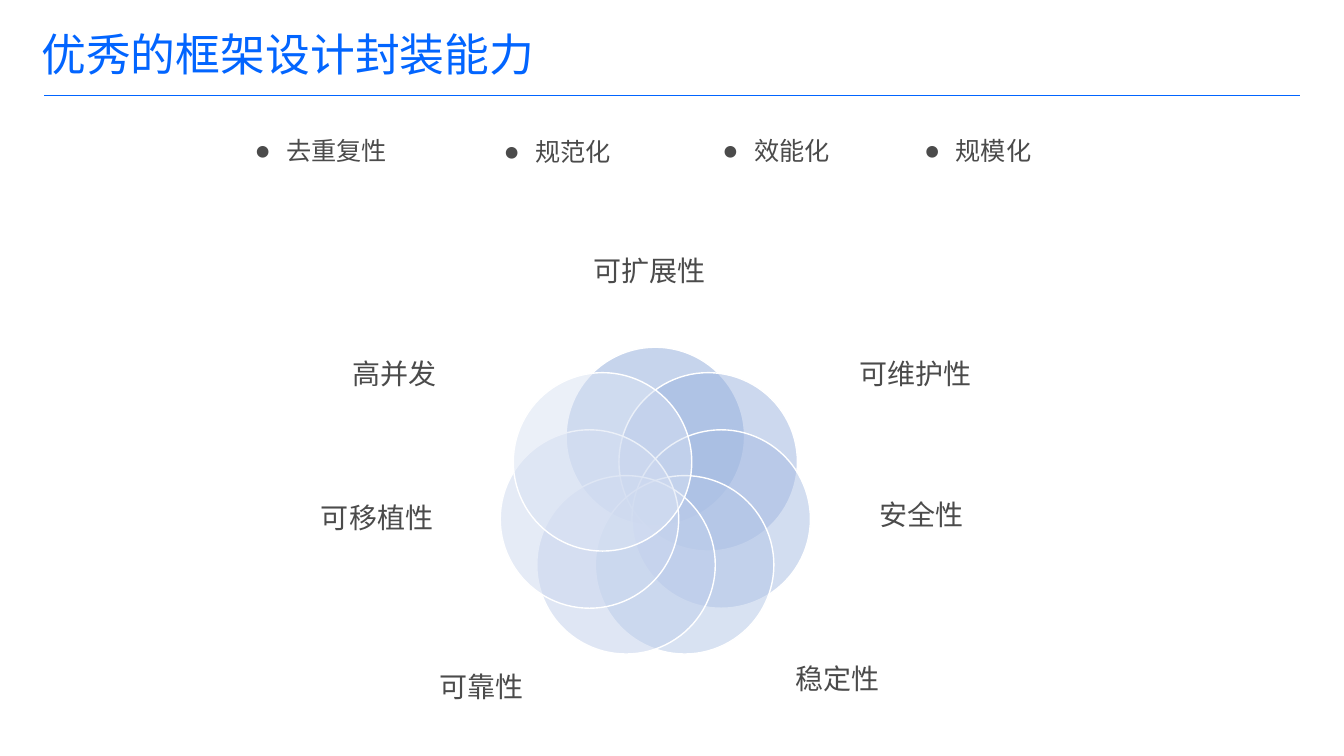
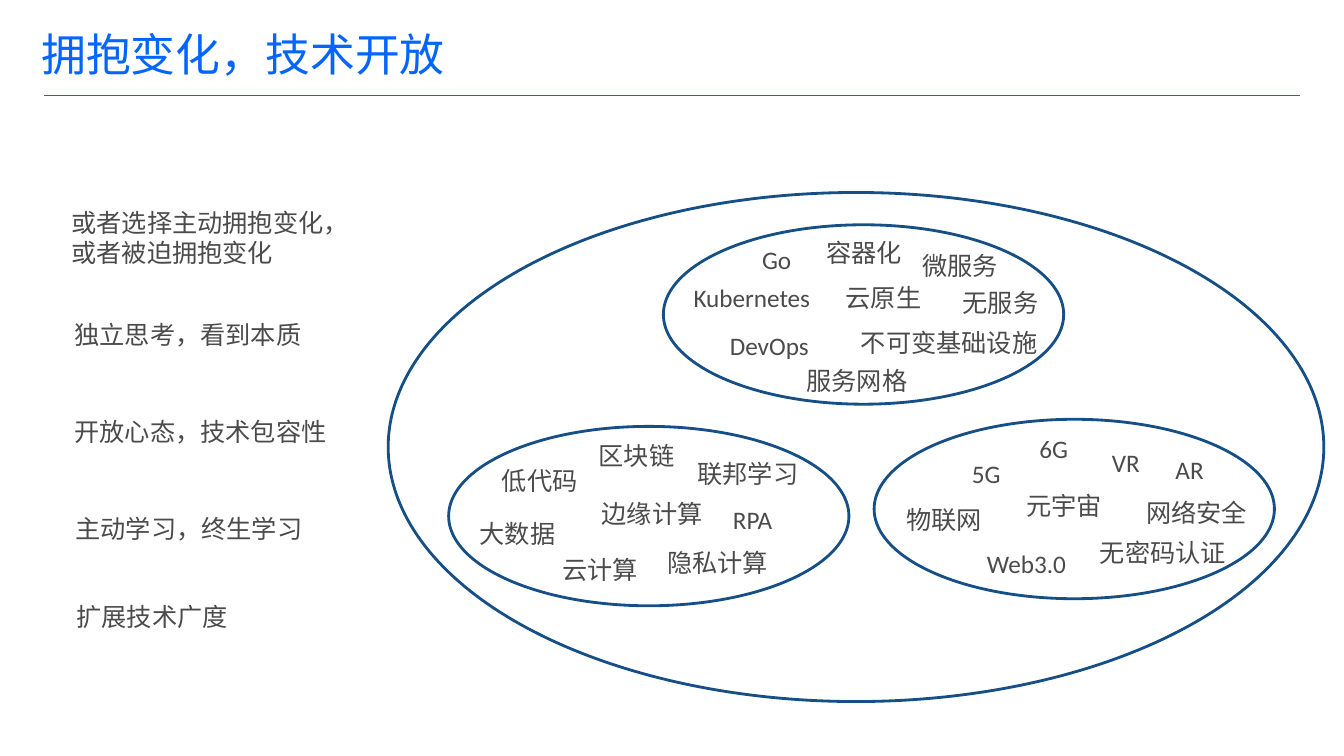
from math import cos, pi, sin

from lxml import etree
from pptx import Presentation
from pptx.dml.color import RGBColor
from pptx.enum.shapes import MSO_CONNECTOR, MSO_SHAPE
from pptx.enum.text import MSO_ANCHOR, MSO_AUTO_SIZE, PP_ALIGN
from pptx.oxml.ns import qn
from pptx.util import Inches, Pt

OVAL = MSO_SHAPE.OVAL
LINE = MSO_CONNECTOR.STRAIGHT
MIDDLE = MSO_ANCHOR.MIDDLE
TOP = MSO_ANCHOR.TOP
GROW = MSO_AUTO_SIZE.SHAPE_TO_FIT_TEXT
FIXED = MSO_AUTO_SIZE.NONE
LEFT = PP_ALIGN.LEFT
CENTER = PP_ALIGN.CENTER

BLUE = RGBColor(0x02, 0x65, 0xFF)
NAVY = RGBColor(0x16, 0x4F, 0x86)
GRAY = RGBColor(0x4B, 0x4B, 0x4B)
WHITE = RGBColor(0xFF, 0xFF, 0xFF)
DEEP = RGBColor(0x8E, 0xAA, 0xDB)
PALE = RGBColor(0xD9, 0xE2, 0xF3)
LATIN = "Calibri"
CJK = "Noto Sans CJK SC"


def pads(side, end):
    return {
        "margin_left": Inches(side),
        "margin_right": Inches(side),
        "margin_top": Inches(end),
        "margin_bottom": Inches(end),
    }


FIT = {"word_wrap": True, "auto_size": FIXED, "vertical_anchor": MIDDLE}
TITLE = {
    "frame": {**FIT, **pads(0.05, 0.05)},
    "para": {"alignment": LEFT, "line_spacing": 0.9},
    "font": {"name": LATIN, "size": Pt(32)},
    "color": BLUE,
}
LABEL = {
    "frame": {**FIT, **pads(0, 0)},
    "para": {"alignment": CENTER},
    "font": {"name": CJK, "size": Pt(20)},
    "color": GRAY,
}
POINT = {
    "frame": {**FIT, **pads(0.06, 0.06)},
    "para": {"alignment": LEFT},
    "font": {"name": LATIN, "size": Pt(18)},
    "color": GRAY,
    "bullet": "●",
}
WORD = {
    "frame": {"word_wrap": False, "auto_size": GROW,
              "vertical_anchor": TOP, **pads(0.1, 0.05)},
    "para": {"alignment": LEFT},
    "font": {"name": LATIN, "size": Pt(18)},
    "color": GRAY,
}

POINTS = [
    ("去重复性", 2.47, 1.26, 1.57),
    ("规范化", 4.94, 1.27, 1.41),
    ("效能化", 7.11, 1.26, 1.7),
    ("规模化", 9.11, 1.26, 2.6),
]
LABELS = [
    ("可扩展性", 5.43, 2.14, 2.03, 1.09),
    ("可维护性", 8.12, 3.1, 1.92, 1.2),
    ("安全性", 8.2, 4.46, 1.88, 1.28),
    ("稳定性", 7.29, 6.14, 2.03, 1.17),
    ("可靠性", 3.76, 6.22, 2.03, 1.17),
    ("可移植性", 2.8, 4.49, 1.88, 1.28),
    ("高并发", 2.95, 3.1, 1.92, 1.2),
]
IDEAS = [
    ("或者选择主动拥抱变化，\n或者被迫拥抱变化", 0.61, 2.01, 2.98, 0.71),
    ("独立思考，看到本质", 0.64, 3.12, 2.47, 0.4),
    ("开放心态，技术包容性", 0.64, 4.08, 2.73, 0.4),
    ("主动学习，终生学习", 0.65, 5.04, 2.54, 0.4),
    ("扩展技术广度", 0.66, 5.92, 1.72, 0.4),
]
FIELDS = [
    (6.58, 2.23, [
        ("Go", 7.46, 2.37, 0.54),
        ("容器化", 8.1, 2.31, 0.96),
        ("微服务", 9.05, 2.43, 0.96),
        ("Kubernetes", 6.78, 2.75, 1.49),
        ("云原生", 8.29, 2.75, 0.96),
        ("无服务", 9.45, 2.8, 0.96),
        ("DevOps", 7.14, 3.23, 1.11),
        ("不可变基础设施", 8.44, 3.2, 1.97),
        ("服务网格", 7.9, 3.58, 1.21),
    ]),
    (4.45, 4.23, [
        ("区块链", 5.84, 4.32, 0.96),
        ("低代码", 4.88, 4.57, 0.96),
        ("联邦学习", 6.82, 4.5, 1.21),
        ("边缘计算", 5.87, 4.89, 1.21),
        ("RPA", 7.17, 4.95, 0.72),
        ("大数据", 4.66, 5.09, 0.96),
        ("云计算", 5.48, 5.45, 0.96),
        ("隐私计算", 6.52, 5.38, 1.21),
    ]),
    (8.67, 4.16, [
        ("6G", 10.21, 4.25, 0.54),
        ("5G", 9.54, 4.5, 0.54),
        ("VR", 10.93, 4.39, 0.55),
        ("AR", 11.56, 4.46, 0.55),
        ("物联网", 8.89, 4.95, 0.96),
        ("元宇宙", 10.08, 4.82, 0.96),
        ("网络安全", 11.27, 4.88, 1.21),
        ("Web3.0", 9.69, 5.39, 1.07),
        ("无密码认证", 10.81, 5.28, 1.47),
    ]),
]


def apply(item, values):
    for key, value in values.items():
        setattr(item, key, value)


def add_dot(para, mark):
    props = para._p.get_or_add_pPr()
    props.set("marL", str(Inches(0.31)))
    props.set("indent", str(Inches(-0.31)))
    etree.SubElement(props, qn("a:buFont"), typeface=LATIN)
    etree.SubElement(props, qn("a:buChar"), char=mark)


def add_text(slide, text, x, y, w, h, style):
    box = slide.shapes.add_textbox(Inches(x), Inches(y), Inches(w), Inches(h))
    frame = box.text_frame
    apply(frame, style["frame"])
    for i, line in enumerate(text.split("\n")):
        para = frame.add_paragraph() if i else frame.paragraphs[0]
        apply(para, style["para"])
        if "bullet" in style:
            add_dot(para, style["bullet"])
        run = para.add_run()
        run.text = line
        apply(run.font, style["font"])
        run.font.color.rgb = style["color"]
        etree.SubElement(run._r.get_or_add_rPr(), qn("a:ea"), typeface=CJK)


def add_oval(slide, x, y, w, h, edge, width, fill=None):
    oval = slide.shapes.add_shape(OVAL, Inches(x), Inches(y), Inches(w), Inches(h))
    oval.shadow.inherit = False
    oval.line.color.rgb = edge
    oval.line.width = Pt(width)
    if fill is None:
        oval.fill.background()
    else:
        oval.fill.solid()
        oval.fill.fore_color.rgb = fill
        tint = oval._element.spPr.find(qn("a:solidFill"))[0]
        etree.SubElement(tint, qn("a:alpha"), val="50000")


def add_page(deck, title):
    slide = deck.slides.add_slide(deck.slide_layouts[6])
    rule = slide.shapes.add_connector(
        LINE, Inches(0.44), Inches(0.95), Inches(12.89), Inches(0.95))
    rule.line.color.rgb = BLUE
    rule.line.width = Pt(1)
    node = rule._element
    etree.SubElement(node.spPr, qn("a:effectLst"))
    node.remove(node.find(qn("p:style")))
    add_text(slide, title, 0.36, 0.17, 9.86, 0.79, TITLE)
    return slide


def add_bloom(slide, count, mid_x, mid_y, reach, size):
    for i in range(count):
        angle = 2 * pi * i / count
        x = mid_x + reach * sin(angle) - size / 2
        y = mid_y - reach * cos(angle) - size / 2
        tone = RGBColor(*(a + (b - a) * i // (count - 1)
                          for a, b in zip(DEEP, PALE)))
        add_oval(slide, x, y, size, size, WHITE, 1, tone)


def draw_frame(deck):
    slide = add_page(deck, "优秀的框架设计封装能力")
    add_bloom(slide, len(LABELS), 6.5, 5, 0.67, 1.77)
    for label in LABELS:
        add_text(slide, *label, LABEL)
    for point in POINTS:
        add_text(slide, *point, 0.47, POINT)


def draw_change(deck):
    slide = add_page(deck, "拥抱变化，技术开放")
    for idea in IDEAS:
        add_text(slide, *idea, WORD)
    add_oval(slide, 3.85, 1.91, 9.28, 5.05, NAVY, 2)
    for x, y, words in FIELDS:
        add_oval(slide, x, y, 3.97, 1.78, NAVY, 2)
        for word in words:
            add_text(slide, *word, 0.4, WORD)


def main():
    deck = Presentation()
    deck.slide_width = Inches(13.33)
    deck.slide_height = Inches(7.5)
    draw_frame(deck)
    draw_change(deck)
    deck.save("out.pptx")


if __name__ == "__main__":
    main()
